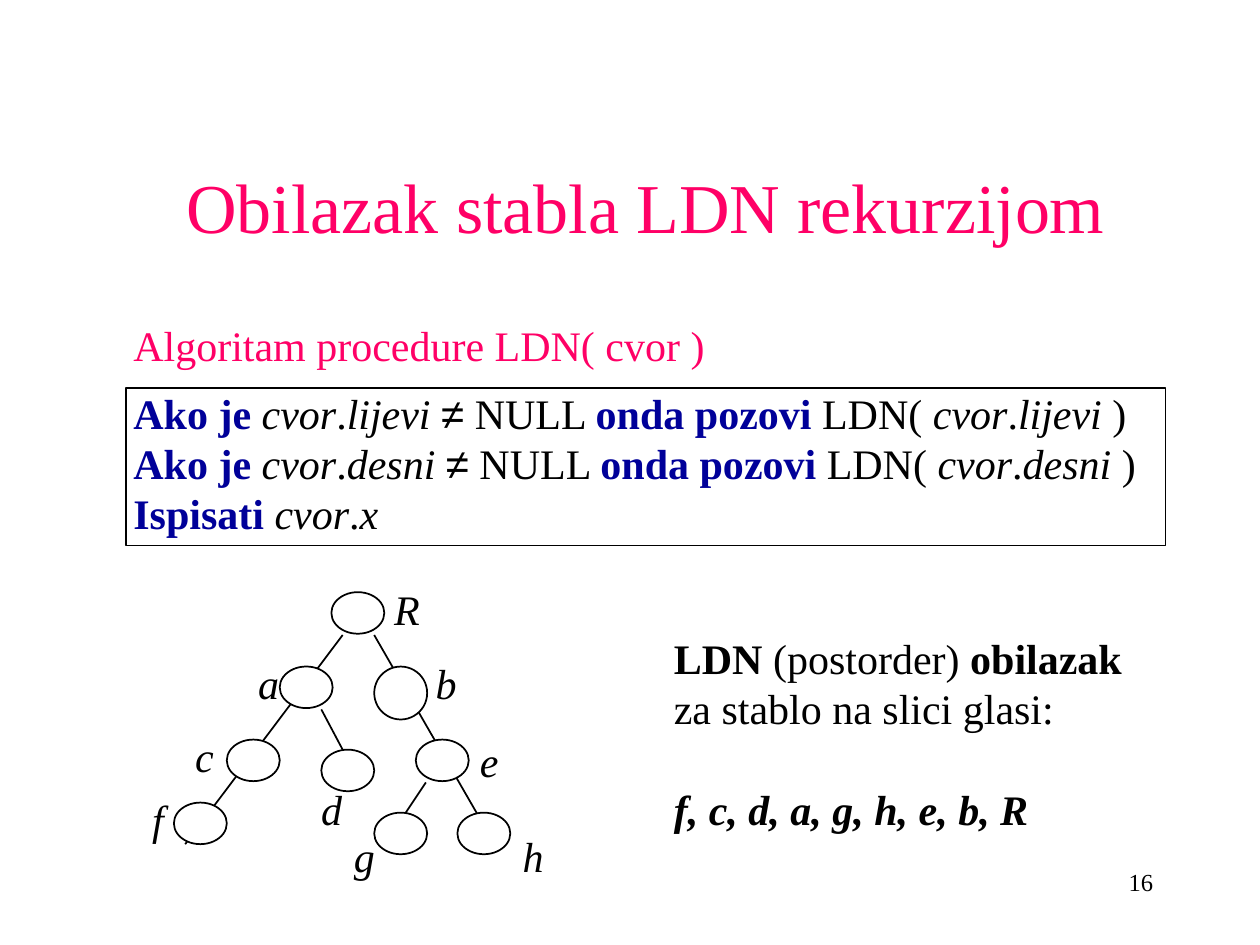
from typing import NamedTuple

from lxml import etree
from pptx import Presentation
from pptx import util as u
from pptx.dml.color import RGBColor
from pptx.enum import shapes, text
from pptx.oxml.ns import qn

COLORS = {"heading": "FF0066", "keyword": "000099", "ink": "000000", "node": "FFFFFF"}
SERIF = "Times New Roman"
NODE_WIDTH, NODE_HEIGHT = 0.42, 0.33
LABEL_HEIGHT = 0.5


class Run(NamedTuple):
    words: str
    bold: bool = False
    italic: bool = False
    color: str = "ink"
    font: str = SERIF


class Line(NamedTuple):
    runs: list[Run]
    size: float = 24
    align: text.PP_ALIGN = text.PP_ALIGN.LEFT
    space_before: float = 0


class Node(NamedTuple):
    label: str
    left: float
    top: float
    label_left: float
    label_top: float
    label_width: float = 0.37
    height: float = NODE_HEIGHT


class Edge(NamedTuple):
    x1: float
    y1: float
    x2: float
    y2: float


NODES = [
    Node("R", 2.63, 4.7, 3.03, 4.58, label_width=0.41),
    Node("a", 2.22, 5.29, 1.95, 5.17),
    Node("b", 2.97, 5.29, 3.36, 5.17, height=0.42),
    Node("c", 1.8, 5.87, 1.45, 5.75, label_width=0.35),
    Node("d", 2.55, 5.95, 2.45, 6.17),
    Node("e", 3.3, 5.87, 3.71, 5.79, label_width=0.35),
    Node("f", 1.38, 6.37, 1.11, 6.25, label_width=0.29),
    Node("g", 2.97, 6.45, 2.71, 6.54),
    Node("h", 3.63, 6.45, 4.05, 6.54),
]
# The long edges run behind the nodes from R to f and from R to h.
EDGES = [
    Edge(2.72, 5.04, 1.47, 6.7),
    Edge(2.97, 5.04, 3.88, 6.62),
    Edge(2.55, 5.63, 2.72, 5.95),
    Edge(3.38, 6.21, 3.22, 6.45),
]


def rgb(name: str) -> RGBColor:
    return RGBColor.from_string(COLORS[name])


def add_text(slide, left: float, top: float, width: float, height: float,
             lines: list[Line], wrap: bool = True) -> None:
    box = slide.shapes.add_textbox(*map(u.Inches, (left, top, width, height)))
    frame = box.text_frame
    frame.word_wrap = wrap
    for index, line in enumerate(lines):
        paragraph = frame.paragraphs[0] if index == 0 else frame.add_paragraph()
        paragraph.alignment = line.align
        paragraph.space_before = u.Pt(line.space_before)
        paragraph.font.size = u.Pt(line.size)
        for part in line.runs:
            run = paragraph.add_run()
            run.text = part.words
            run.font.size = u.Pt(line.size)
            run.font.name = part.font
            run.font.bold = part.bold
            run.font.italic = part.italic
            run.font.color.rgb = rgb(part.color)


def add_outlined(slide, kind: shapes.MSO_SHAPE, left: float, top: float,
                 width: float, height: float, fill: str | None = None) -> None:
    shape = slide.shapes.add_shape(kind, *map(u.Inches, (left, top, width, height)))
    shape.shadow.inherit = False
    shape.line.color.rgb = rgb("ink")
    shape.line.width = u.Pt(1)
    if fill:
        shape.fill.solid()
        shape.fill.fore_color.rgb = rgb(fill)
    else:
        shape.fill.background()


def add_edge(slide, edge: Edge) -> None:
    connector = slide.shapes.add_connector(
        shapes.MSO_CONNECTOR.STRAIGHT, *map(u.Inches, edge))
    connector.line.color.rgb = rgb("ink")
    connector.line.width = u.Pt(1)
    etree.SubElement(connector._element.spPr, qn("a:effectLst"))


def add_node(slide, node: Node) -> None:
    add_outlined(slide, shapes.MSO_SHAPE.OVAL, node.left, node.top,
                 NODE_WIDTH, node.height, "node")
    add_text(slide, node.label_left, node.label_top, node.label_width, LABEL_HEIGHT,
             [Line([Run(node.label, italic=True)])], wrap=False)


def keyword(words: str) -> Run:
    return Run(words, bold=True, color="keyword")


def member(field: str) -> list[Run]:
    return [Run("cvor", italic=True), Run("."), Run(field, italic=True)]


def recursive_step(child: str) -> list[Run]:
    """Runs of the step that descends into one child when it exists."""
    return [keyword("Ako je "), *member(child + " "), Run("≠", font="Arial"),
            Run(" NULL "), keyword("onda pozovi"), Run(" LDN( "),
            *member(child), Run(" )")]


def main() -> None:
    deck = Presentation()
    deck.slide_width, deck.slide_height = u.Inches(10), u.Inches(7.5)
    slide = deck.slides.add_slide(deck.slide_layouts[6])

    add_text(slide, 0.46, 1.25, 9.33, 0.77, [
        Line([Run("Obilazak stabla LDN rekurzijom", color="heading")],
             size=40, align=text.PP_ALIGN.CENTER)])
    add_text(slide, 0.96, 2.49, 8.25, 1.84, [
        Line([Run("Algoritam procedure LDN( cvor )", color="heading")]),
        Line(recursive_step("lijevi"), space_before=9.6),
        Line(recursive_step("desni")),
        Line([keyword("Ispisati "), *member("x")]),
    ], wrap=False)
    add_outlined(slide, shapes.MSO_SHAPE.RECTANGLE, 1, 3.08, 8.25, 1.25)

    for edge in EDGES:
        add_edge(slide, edge)
    for node in NODES:
        add_node(slide, node)

    add_text(slide, 5.25, 4.97, 4, 1.7, [
        Line([Run("LDN", bold=True), Run(" (postorder) "), Run("obilazak", bold=True),
              Run(" za stablo na slici glasi:")]),
        Line([Run("f, c, d, a, g, h, e, b, R", bold=True, italic=True)],
             space_before=28.8),
    ])
    add_text(slide, 7.17, 6.83, 2.08, 0.5, [
        Line([Run("16")], size=14, align=text.PP_ALIGN.RIGHT)])

    deck.save("out.pptx")


if __name__ == "__main__":
    main()
